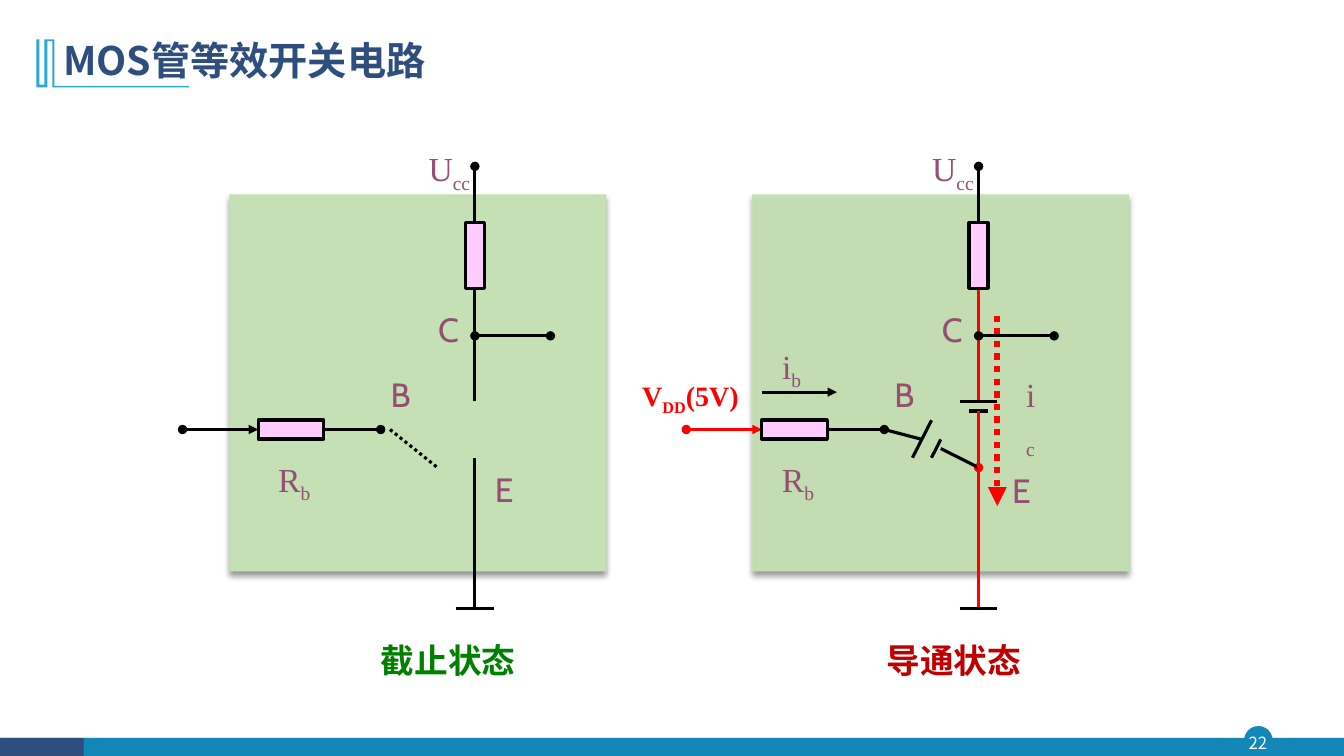
from lxml.etree import SubElement
from pptx import Presentation
from pptx.dml.color import RGBColor
from pptx.enum.dml import MSO_LINE
from pptx.enum.shapes import MSO_CONNECTOR, MSO_SHAPE
from pptx.enum.text import MSO_ANCHOR, PP_ALIGN
from pptx.oxml.ns import qn
from pptx.util import Pt

BLACK = RGBColor(0, 0, 0)
WHITE = RGBColor(0xFF, 0xFF, 0xFF)
RED = RGBColor(0xFF, 0, 0)
DARK_RED = RGBColor(0xC0, 0, 0)
GREEN = RGBColor(0, 0x80, 0)
PLUM = RGBColor(0x95, 0x4F, 0x72)
PINK = RGBColor(0xFF, 0xCC, 0xFF)
PALE_GREEN = RGBColor(0xC5, 0xE0, 0xB4)
NAVY = RGBColor(0x2E, 0x4E, 0x7E)
TEAL = RGBColor(0x13, 0x87, 0xB7)
CYAN = RGBColor(0x28, 0xA9, 0xD6)
SANS, SERIF, LETTER = "Noto Sans CJK SC", "Times New Roman", "Cabin"


class Drawing:
    stroke = 2.25
    inset = 0.72

    def __init__(self, slide):
        self.shapes = slide.shapes

    def paint(self, shape, fill, line=None, weight=stroke):
        shape.shadow.inherit = False
        shape.fill.solid()
        shape.fill.fore_color.rgb = fill
        if line is None:
            shape.line.fill.background()
        else:
            shape.line.color.rgb = line
            shape.line.width = Pt(weight)
        return shape

    def block(self, left, top, width, height, fill, line=None, weight=stroke,
              kind=MSO_SHAPE.RECTANGLE):
        shape = self.shapes.add_shape(kind, Pt(left), Pt(top), Pt(width), Pt(height))
        return self.paint(shape, fill, line, weight)

    def panel(self, left, top, side, alpha=None):
        panel = self.block(left, top, side, side, PALE_GREEN)
        if alpha:
            tint = panel._element.spPr.find(qn("a:solidFill"))[0]
            SubElement(tint, qn("a:alpha"), val=str(alpha * 1000))
        effects = panel._element.spPr.find(qn("a:effectLst"))
        shadow = SubElement(effects, qn("a:outerShdw"), blurRad=str(Pt(4)),
                            dist=str(Pt(3)), dir="5400000", rotWithShape="0")
        tint = SubElement(shadow, qn("a:srgbClr"), val="000000")
        SubElement(tint, qn("a:alpha"), val="40000")

    def outline(self, points, fill):
        start, *rest = [(Pt(x), Pt(y)) for x, y in points]
        builder = self.shapes.build_freeform(*start, scale=1.0)
        builder.add_line_segments(rest, close=True)
        self.paint(builder.convert_to_shape(), fill)

    def wire(self, x1, y1, x2, y2, color=BLACK, head=None, tail=None,
             dotted=False, weight=stroke):
        wire = self.shapes.add_connector(
            MSO_CONNECTOR.STRAIGHT, Pt(x1), Pt(y1), Pt(x2), Pt(y2))
        wire.line.color.rgb = color
        wire.line.width = Pt(weight)
        if dotted:
            wire.line.dash_style = MSO_LINE.ROUND_DOT
        props = wire._element.spPr
        for tag, end in (("a:headEnd", head), ("a:tailEnd", tail)):
            if end:
                SubElement(props.find(qn("a:ln")), qn(tag), type=end)
        SubElement(props, qn("a:effectLst"))

    def text(self, left, top, width, height, runs, size=24, font=SERIF, color=PLUM,
             bold=False, align=PP_ALIGN.JUSTIFY, anchor=MSO_ANCHOR.TOP,
             insets=(inset, inset), spacing=None):
        """Each run is a pair: its words and whether it is a subscript."""
        frame = self.shapes.add_textbox(
            Pt(left), Pt(top), Pt(width), Pt(height)).text_frame
        frame.word_wrap = True
        frame.vertical_anchor = anchor
        frame.margin_left = frame.margin_right = Pt(insets[0])
        frame.margin_top = frame.margin_bottom = Pt(insets[1])
        paragraph = frame.paragraphs[0]
        paragraph.alignment = align
        if spacing:
            paragraph.line_spacing = spacing
        for words, subscript in runs:
            run = paragraph.add_run()
            run.text = words
            run.font.size = Pt(size)
            run.font.name = font
            run.font.bold = bold
            run.font.color.rgb = color
            props = run._r.get_or_add_rPr()
            SubElement(props, qn("a:ea"), typeface=font)
            if subscript:
                props.set("baseline", "-25000")

    def label(self, left, top, letter, subscript="", font=SERIF, width=40.3):
        runs = [(letter, False)] + ([(subscript, True)] if subscript else [])
        self.text(left, top, width, 26.9, runs, font=font)


# Levels shared by both circuits
SUPPLY, LOAD, COLLECTOR, BREAK, BASE, EMITTER, GROUND = 118.8, 159.2, 239.9, 286.8, 306.8, 334, 434.9
LONG, SHORT = 46.8, 13.6


def circuit(draw, axis, input_color, collector_color, emitter_top, emitter_dot=None):
    """Draw the parts common to both states around a vertical axis."""
    base_resistor = axis - 154.8
    load_bottom = LOAD + LONG
    draw.wire(base_resistor - 54, BASE, base_resistor, BASE, input_color, "oval", "triangle")
    draw.block(base_resistor, BASE - SHORT / 2, LONG, SHORT, PINK, BLACK)
    draw.wire(base_resistor + LONG, BASE, axis - 67.3, BASE, tail="oval")
    draw.wire(axis, BREAK, axis, load_bottom, collector_color)
    draw.block(axis - SHORT / 2, LOAD, SHORT, LONG, PINK, BLACK)
    draw.wire(axis, COLLECTOR, axis + 54, COLLECTOR, head="oval", tail="oval")
    draw.wire(axis, GROUND, axis, emitter_top, collector_color, tail=emitter_dot)
    draw.wire(axis - 13.5, GROUND, axis + 13.5, GROUND)
    draw.wire(axis, LOAD, axis, SUPPLY, tail="oval")
    draw.label(axis - 141.2, 326.9, "R", "b")
    draw.label(axis - 60.8, 266.4, "B", font=LETTER)
    draw.label(axis - 26.9, 219.6, "C", font=LETTER)
    draw.label(axis - 33.8, 105.1, "U", "cc")


def main():
    deck = Presentation()
    deck.slide_width, deck.slide_height = Pt(960), Pt(540)
    draw = Drawing(deck.slides.add_slide(deck.slide_layouts[6]))

    # Footer with page number
    draw.block(889.2, 519.1, 19.4, 19.4, TEAL, TEAL, 1, MSO_SHAPE.OVAL)
    draw.block(0.7, 527, 959.3, 13, TEAL)
    draw.block(0, 527, 59.8, 13, NAVY)
    draw.text(887, 519.1, 23, 22.3, [("22", False)], 12, SANS, WHITE,
              align=PP_ALIGN.CENTER, anchor=MSO_ANCHOR.MIDDLE, insets=(0, 0))

    # Title and its corner ornament
    draw.outline([(38.9, 28.1), (38.9, 61.4), (135, 61.4), (135, 62.4),
                  (37.4, 62.4), (37.4, 29.5), (33.8, 29.5), (33.8, 62.4),
                  (25.9, 62.4), (25.9, 28.1), (28.1, 28.1), (28.1, 60.5),
                  (31.7, 60.5), (31.7, 28.1)], CYAN)
    draw.text(38.2, 20.2, 828, 49, [("MOS管等效开关电路", False)], 28, SANS, NAVY, True,
              PP_ALIGN.LEFT, MSO_ANCHOR.MIDDLE, (7.2, 3.6), 0.9)

    # Conducting state: circuit
    on_axis = 699
    draw.panel(537.1, 138.9, 269.3, 95)
    circuit(draw, on_axis, RED, RED, EMITTER, "oval")
    draw.label(on_axis + 23.2, 334.8, "E", font=LETTER)
    draw.text(457.9, 270, 82.8, 41,
              [("V", False), ("DD", True), ("(5V)", False)], 20, color=RED, bold=True)

    # Conducting state: base junction source
    draw.wire(on_axis - 67.3, BASE, on_axis - 40.3, 313.9)
    draw.wire(on_axis - 33.6, 300.2, on_axis - 47.2, 326.9)
    draw.wire(on_axis - 27, 313.9, on_axis - 33.6, 326.9)
    draw.wire(on_axis - 27, 320.4, on_axis, EMITTER)

    # Conducting state: collector source
    draw.wire(on_axis - 13.5, BREAK, on_axis + 13.5, BREAK)
    draw.wire(on_axis - 6.8, 293.6, on_axis + 6.8, 293.6)
    draw.wire(on_axis, 293.6, on_axis, EMITTER, RED)

    # Conducting state: currents
    draw.wire(544.2, 280.1, 597.8, 280.1, tail="triangle")
    draw.label(558, 246.2, "i", "b")
    draw.label(732.2, 266.4, "i ", "c", width=20.2)
    draw.wire(712.4, 225.4, 712.4, 361.4, RED, tail="triangle", dotted=True, weight=4.5)

    # Cut-off state
    off_axis = 339.2
    draw.panel(163.9, 138.9, 269.3)
    circuit(draw, off_axis, BLACK, BLACK, 326.9)
    draw.label(off_axis + 13.6, 334.1, "E", font=LETTER)
    draw.wire(278.6, BASE, 312.5, EMITTER, dotted=True)

    # State captions
    for left, state, color in ((271.4, "截止状态", GREEN), (632.5, "导通状态", DARK_RED)):
        draw.text(left, 456.2, 152.6, 43.9, [(state, False)], 24, SANS, color, True)

    deck.save("out.pptx")


if __name__ == "__main__":
    main()
